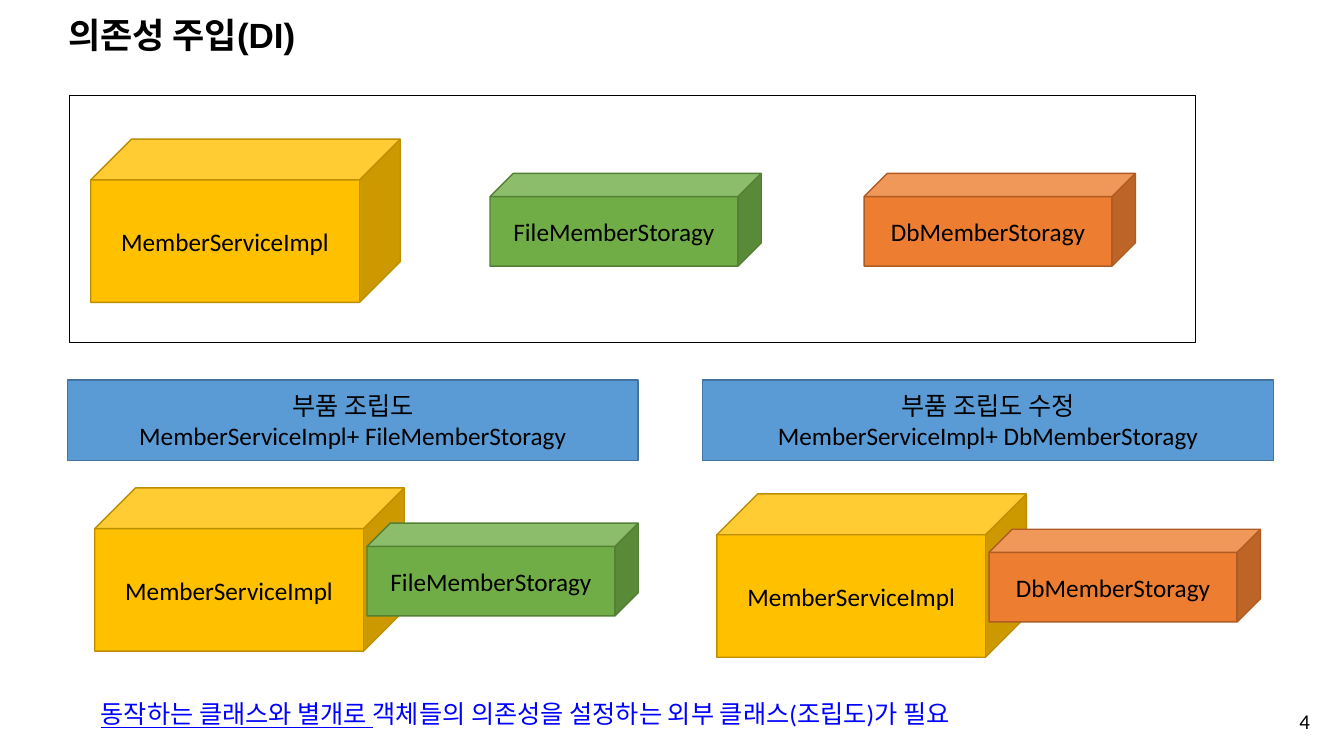
from pptx import Presentation
from pptx.dml.color import RGBColor
from pptx.enum.shapes import MSO_SHAPE
from pptx.enum.text import MSO_ANCHOR, PP_ALIGN
from pptx.util import Pt

EMU_PER_PX = 9144  # 100 px to the inch
CUBE, RECTANGLE = MSO_SHAPE.CUBE, MSO_SHAPE.RECTANGLE
LEFT, CENTER, RIGHT = PP_ALIGN.LEFT, PP_ALIGN.CENTER, PP_ALIGN.RIGHT
TOP, MIDDLE = MSO_ANCHOR.TOP, MSO_ANCHOR.MIDDLE

BLACK = RGBColor(0x00, 0x00, 0x00)
LINK_BLUE = RGBColor(0x00, 0x00, 0xFF)
GOLD, GOLD_EDGE = RGBColor(0xFF, 0xC0, 0x00), RGBColor(0xBD, 0x8E, 0x00)
GREEN, GREEN_EDGE = RGBColor(0x70, 0xAD, 0x47), RGBColor(0x53, 0x80, 0x35)
ORANGE, ORANGE_EDGE = RGBColor(0xED, 0x7D, 0x31), RGBColor(0xAF, 0x5C, 0x24)
BLUE, BLUE_EDGE = RGBColor(0x5B, 0x9B, 0xD5), RGBColor(0x43, 0x73, 0x9E)

SERVICE = "MemberServiceImpl"
FILE_STORAGE = "FileMemberStoragy"
DB_STORAGE = "DbMemberStoragy"


def px(*lengths):
    return [length * EMU_PER_PX for length in lengths]


def add_run(paragraph, text, size=18, font="Calibri", color=BLACK, bold=False, underline=False):
    run = paragraph.add_run()
    run.text = text
    run.font.size = Pt(size)
    run.font.name = font
    run.font.color.rgb = color
    run.font.bold = bold
    run.font.underline = underline


def write_text(shape, *lines, align=LEFT, anchor=MIDDLE, line_spacing=None, **run_format):
    """Write one paragraph per line of text."""
    frame = shape.text_frame
    frame.word_wrap = True
    frame.vertical_anchor = anchor
    for index, line in enumerate(lines):
        paragraph = frame.add_paragraph() if index else frame.paragraphs[0]
        paragraph.alignment = align
        paragraph.line_spacing = line_spacing
        add_run(paragraph, line, **run_format)


def add_text(slide, box, text, **text_format):
    shape = slide.shapes.add_textbox(*px(*box))
    write_text(shape, text, **text_format)
    return shape


def add_block(slide, kind, box, edge, fill=None, lines=()):
    shape = slide.shapes.add_shape(kind, *px(*box))
    shape.shadow.inherit = False
    if fill is None:
        shape.fill.background()
    else:
        shape.fill.solid()
        shape.fill.fore_color.rgb = fill
    shape.line.color.rgb = edge
    shape.line.width = Pt(1)
    write_text(shape, *lines, align=CENTER)


def add_service(slide, left, top):
    add_block(slide, CUBE, (left, top, 307, 162), GOLD_EDGE, GOLD, [SERVICE])


def add_storage(slide, left, top, name):
    fill, edge = (GREEN, GREEN_EDGE) if name == FILE_STORAGE else (ORANGE, ORANGE_EDGE)
    add_block(slide, CUBE, (left, top, 269, 92), edge, fill, [name])


def add_assembly(slide, heading, storage, heading_left, left, top):
    """Add a plan heading above a service joined to its storage."""
    add_block(slide, RECTANGLE, (heading_left, 377, 566, 80), BLUE_EDGE, BLUE,
              [heading, f"{SERVICE}+ {storage}"])
    add_service(slide, left, top)
    add_storage(slide, left + 270, top + 35, storage)


def main():
    presentation = Presentation()
    presentation.slide_width, presentation.slide_height = px(1333, 750)
    slide = presentation.slides.add_slide(presentation.slide_layouts[6])

    add_text(slide, (58, 18, 1150, 38), "의존성 주입(DI)",
             size=25, font="Arial", bold=True, line_spacing=0.9)

    add_block(slide, RECTANGLE, (69, 95, 1117, 245), BLACK)
    add_service(slide, 90, 138)
    add_storage(slide, 486, 172, FILE_STORAGE)
    add_storage(slide, 857, 172, DB_STORAGE)

    add_assembly(slide, "부품 조립도", FILE_STORAGE, 67, 94, 484)
    add_assembly(slide, "부품 조립도 수정", DB_STORAGE, 697, 711, 490)

    conclusion = add_text(slide, (90, 688, 940, 40), "동작하는 클래스와 별개로 ",
                          anchor=TOP, color=LINK_BLUE, underline=True)
    add_run(conclusion.text_frame.paragraphs[0],
            "객체들의 의존성을 설정하는 외부 클래스(조립도)가 필요", color=LINK_BLUE)
    add_text(slide, (1009, 695, 300, 40), "4", size=15, align=RIGHT)

    presentation.save("out.pptx")


if __name__ == "__main__":
    main()
